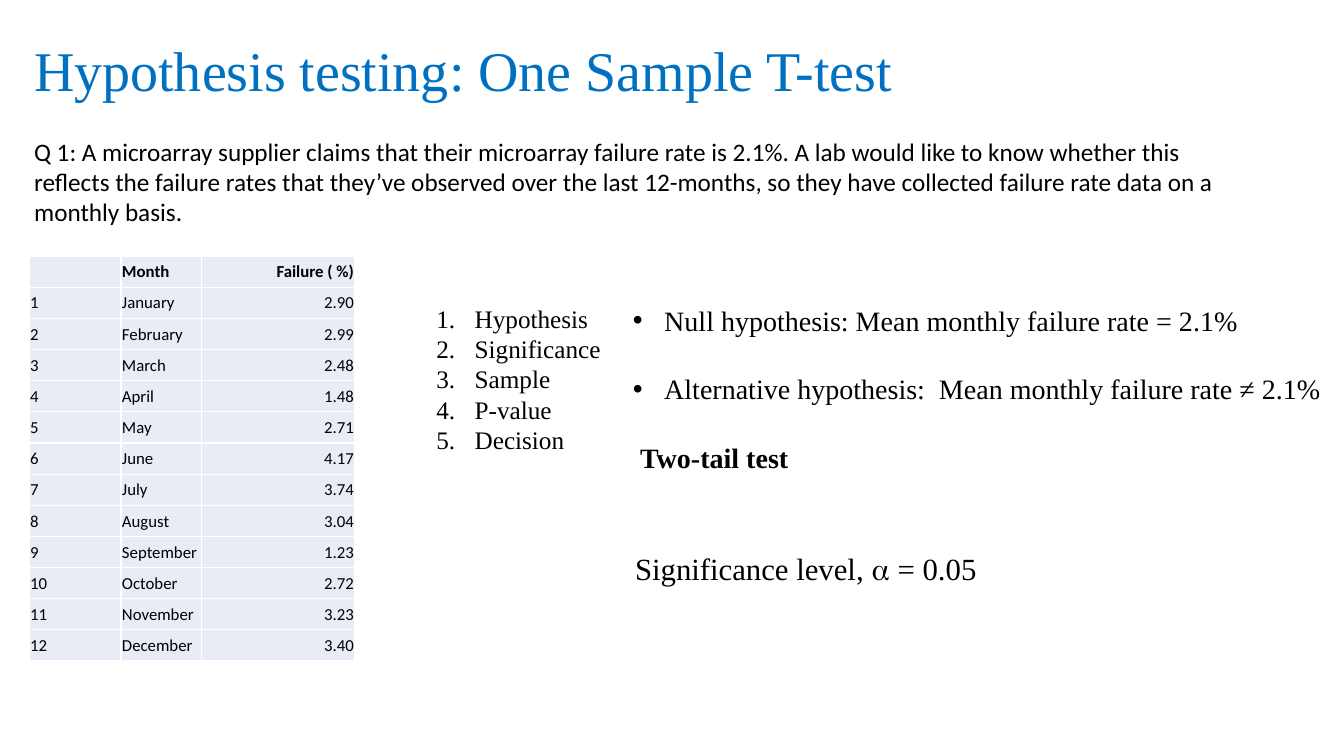
"""Build a slide introducing the one sample t-test with monthly failure rates."""
from lxml import etree
from pptx import Presentation
from pptx.dml.color import RGBColor
from pptx.enum.text import MSO_ANCHOR, MSO_AUTO_SIZE, PP_ALIGN
from pptx.oxml.ns import qn
from pptx.util import Inches, Pt

MIDDLE = MSO_ANCHOR.MIDDLE
GROW = MSO_AUTO_SIZE.SHAPE_TO_FIT_TEXT
LEFT, RIGHT = PP_ALIGN.LEFT, PP_ALIGN.RIGHT
SERIF, SANS = "Times New Roman", "Calibri"
BLACK, WHITE, BLUE, PALE = "000000", "FFFFFF", "0070C0", "E9EBF5"


def style(para, size, face, color=BLACK, bold=False):
    for span in para.runs:
        span.font.size = Pt(size)
        span.font.name = face
        span.font.bold = bold
        span.font.color.rgb = RGBColor.from_string(color)


def add_text(page, place, text, size, face, color=BLACK, wrap=False):
    box = page.shapes.add_textbox(*[Inches(length) for length in place])
    frame = box.text_frame
    frame.word_wrap = wrap
    frame.auto_size = GROW
    frame.text = text
    for para in frame.paragraphs:
        style(para, size, face, color)
    return frame.paragraphs


deck = Presentation()
deck.slide_width, deck.slide_height = Inches(13.33), Inches(7.5)
page = deck.slides.add_slide(deck.slide_layouts[6])

add_text(page, (0.24, 0.3, 8.81, 0.77), "Hypothesis testing: One Sample T-test", 40, SERIF, BLUE)
question = (
    "Q 1: A microarray supplier claims that their microarray failure rate is 2.1%. "
    "A lab would like to know whether this reflects the failure rates that they’ve observed "
    "over the last 12-months, so they have collected failure rate data on a monthly basis."
)
add_text(page, (0.24, 1.3, 12.29, 1.01), question, 18, SANS, wrap=True)

failures = [
    ("January", "2.90"), ("February", "2.99"), ("March", "2.48"), ("April", "1.48"),
    ("May", "2.71"), ("June", "4.17"), ("July", "3.74"), ("August", "3.04"),
    ("September", "1.23"), ("October", "2.72"), ("November", "3.23"), ("December", "3.40"),
]
rows = [("", "Month", "Failure ( %)")]
rows += [(str(number), month, rate) for number, (month, rate) in enumerate(failures, 1)]
table = page.shapes.add_table(
    len(rows), 3, Inches(0.29), Inches(2.54), Inches(3.23), Inches(4.02)
).table
table.first_row = False
table.horz_banding = False
for column, width in zip(table.columns, (0.91, 0.8, 1.52)):
    column.width = Inches(width)
for row_index, row in enumerate(rows):
    for column_index, text in enumerate(row):
        cell = table.cell(row_index, column_index)
        cell.text = text
        cell.vertical_anchor = MIDDLE
        cell.margin_left = cell.margin_right = cell.margin_top = Inches(0.01)
        cell.margin_bottom = 0
        para = cell.text_frame.paragraphs[0]
        para.alignment = RIGHT if column_index == 2 else LEFT
        style(para, 12, SANS, bold=row_index == 0)
        if not text:
            etree.SubElement(para._p, qn("a:endParaRPr"), sz="1200")
        properties = cell._tc.get_or_add_tcPr()
        for side in ("a:lnL", "a:lnR", "a:lnT", "a:lnB"):
            line = etree.SubElement(properties, qn(side), w="12700")
            paint = etree.SubElement(line, qn("a:solidFill"))
            etree.SubElement(paint, qn("a:srgbClr"), val=WHITE)
        cell.fill.solid()
        cell.fill.fore_color.rgb = RGBColor.from_string(PALE)

steps = add_text(
    page, (4.23, 2.96, 1.97, 1.62),
    "Hypothesis\nSignificance\nSample\nP-value\nDecision", 18, SERIF, wrap=True,
)
hypotheses = add_text(
    page, (6.18, 2.96, 7.07, 1.78),
    "Null hypothesis: Mean monthly failure rate = 2.1%\n"
    "Alternative hypothesis:  Mean monthly failure rate ≠ 2.1%\n"
    "Two-tail test", 20, SERIF,
)
lists = [
    (steps, 0.38, "a:buAutoNum", {"type": "arabicPeriod"}),
    (hypotheses[:2], 0.31, "a:buChar", {"char": "•"}),
]
for paras, indent, tag, marker in lists:
    for para in paras:
        properties = para._p.get_or_add_pPr()
        properties.set("marL", str(Inches(indent)))
        properties.set("indent", str(-Inches(indent)))
        if tag == "a:buChar":
            etree.SubElement(properties, qn("a:buFont"), typeface="Arial")
        etree.SubElement(properties, qn(tag), marker)
for para in hypotheses[1:]:
    para.space_before = Pt(25)
conclusion = hypotheses[2]
conclusion._p.get_or_add_pPr().set("marL", str(Inches(0.07)))
conclusion.runs[0].font.bold = True

add_text(page, (6.2, 5.4, 3.62, 0.47), "Significance level, ⍺ = 0.05", 22, SERIF)

deck.save("out.pptx")
